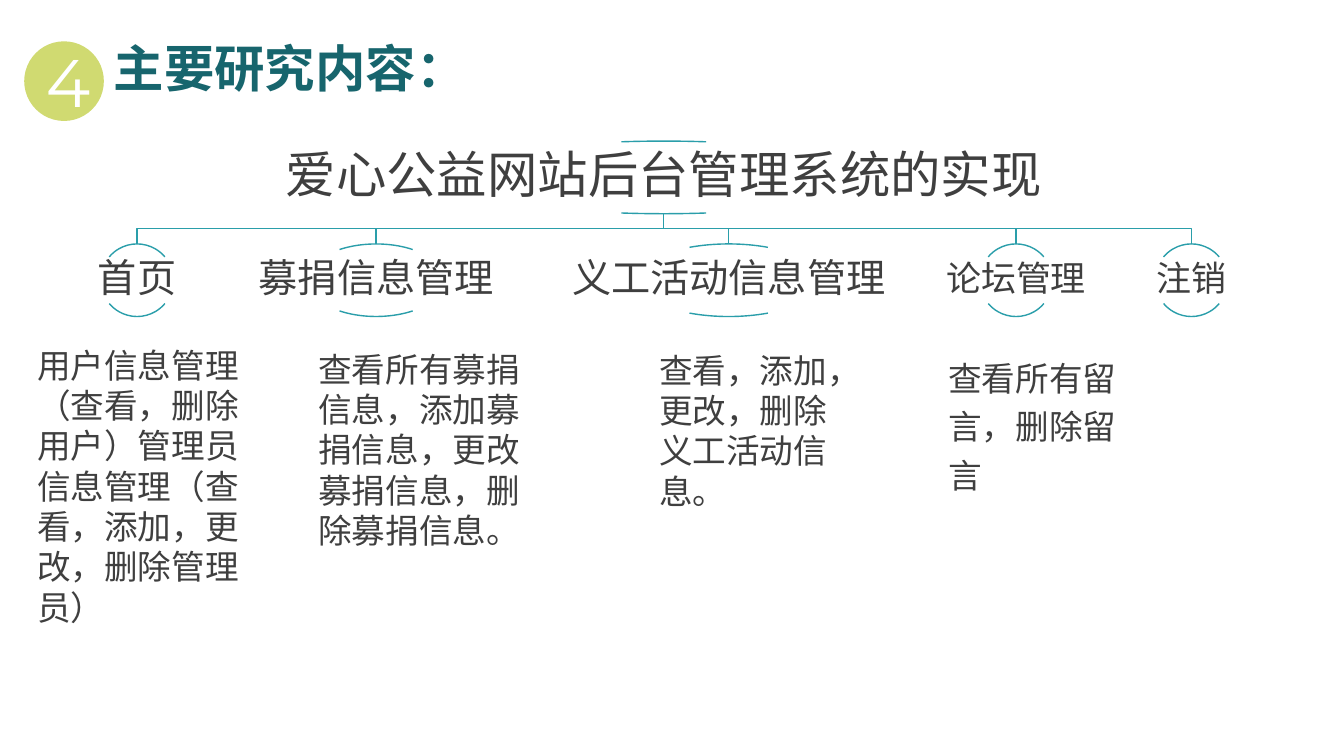
from lxml.etree import SubElement
from pptx import Presentation
from pptx.dml.color import RGBColor
from pptx.enum.shapes import MSO_SHAPE as Preset
from pptx.enum.text import MSO_ANCHOR as Anchor, MSO_AUTO_SIZE as AutoSize, PP_ALIGN as Align
from pptx.oxml.ns import qn
from pptx.util import Pt

LIME = RGBColor(0xD0, 0xDA, 0x71)
WHITE = RGBColor(0xFF, 0xFF, 0xFF)
DEEP_TEAL = RGBColor(0x17, 0x65, 0x6D)
TEAL = RGBColor(0x2A, 0x9E, 0xAA)
DARK_GRAY = RGBColor(0x3F, 0x3F, 0x3F)

SANS = "Noto Sans CJK SC"
NODE_HEIGHT = 51.84
ROOT_CENTER = 474.12
ROOT_TOP = 100.8
BRANCH_TOP = 174.24
ARC_ANGLES = ((132, 192), (24, 84))

BRANCHES = (
    ("首页", 97.92, 51.84, 28),
    ("募捐信息管理", 268.7, 97.92, 28),
    ("义工活动信息管理", 520.56, 132.48, 28),
    ("论坛管理", 725.76, 51.84, 25),
    ("注销", 851.04, 51.84, 25),
)

DETAILS = (
    ("用户信息管理（查看，删除用户）管理员信息管理（查看，添加，更改，删除管理员）",
     19.44, 242.64, 164.16, 232.56, None),
    ("查看所有募捐信息，添加募捐信息，更改募捐信息，删除募捐信息。",
     220.32, 245.52, 164.16, 174.24, None),
    ("查看，添加，更改，删除义工活动信息。", 463.68, 246.24, 142.56, 145.44, None),
    ("查看所有留言，删除留言", 670.32, 246.24, 142.56, 133.92, 1.2),
)


def write_text(frame, text, size, font_name, color, bold=False, align=None, spacing=None):
    paragraph = frame.paragraphs[0]
    paragraph.alignment = align
    paragraph.line_spacing = spacing
    run = paragraph.add_run()
    run.text = text
    run.font.size = Pt(size)
    run.font.bold = bold
    run.font.color.rgb = color
    run.font.name = font_name
    SubElement(run.font._element, qn("a:ea"), typeface=font_name)


def add_text(slide, box, text, size, font_name=SANS, color=DARK_GRAY,
             anchor=Anchor.TOP, inset=None, grow=False, **style):
    frame = slide.shapes.add_textbox(*map(Pt, box)).text_frame
    frame.word_wrap = True
    frame.vertical_anchor = anchor
    if grow:
        frame.auto_size = AutoSize.SHAPE_TO_FIT_TEXT
    if inset is not None:
        frame.margin_left = frame.margin_right = Pt(inset)
        frame.margin_top = frame.margin_bottom = Pt(inset)
    write_text(frame, text, size, font_name, color, **style)


def add_number_badge(slide, number):
    badge = slide.shapes.add_shape(Preset.OVAL, Pt(17.28), Pt(29.52), Pt(56.88), Pt(56.88))
    badge.shadow.inherit = False
    badge.fill.solid()
    badge.fill.fore_color.rgb = LIME
    badge.line.fill.background()
    badge.text_frame.vertical_anchor = Anchor.MIDDLE
    write_text(badge.text_frame, number, 48, "Montserrat", WHITE, align=Align.CENTER)


def style_outline(shape):
    shape.shadow.inherit = False
    shape.fill.background()
    shape.line.color.rgb = TEAL
    shape.line.width = Pt(1)


def add_branch_line(slide, center):
    root_bottom = ROOT_TOP + NODE_HEIGHT
    middle = (root_bottom + BRANCH_TOP) / 2
    builder = slide.shapes.build_freeform(Pt(ROOT_CENTER), Pt(root_bottom))
    corners = ((ROOT_CENTER, middle), (center, middle), (center, BRANCH_TOP))
    builder.add_line_segments([(Pt(x), Pt(y)) for x, y in corners], close=False)
    style_outline(builder.convert_to_shape())


def add_node(slide, text, center, top, width, size, font_name, inset):
    for start, end in ARC_ANGLES:
        arc = slide.shapes.add_shape(
            Preset.ARC, Pt(center - width / 2), Pt(top), Pt(width), Pt(NODE_HEIGHT))
        arc.adjustments[0] = start
        arc.adjustments[1] = end
        style_outline(arc)
    add_text(slide, (center - width, top + 9.36, width * 2, 33.12), text, size, font_name,
             anchor=Anchor.MIDDLE, inset=inset, align=Align.CENTER, spacing=0.9)


def main():
    presentation = Presentation()
    presentation.slide_width = Pt(960)
    presentation.slide_height = Pt(540)
    slide = presentation.slides.add_slide(presentation.slide_layouts[6])

    add_number_badge(slide, "4")
    add_text(slide, (74.16, 18.72, 858.96, 55.44), "主要研究内容：", 36,
             color=DEEP_TEAL, anchor=Anchor.BOTTOM, bold=True, spacing=0.9)

    for _, center, _, _ in reversed(BRANCHES):
        add_branch_line(slide, center)
    add_node(slide, "爱心公益网站后台管理系统的实现", ROOT_CENTER, ROOT_TOP, 308.88, 36, SANS, 2.3)
    for text, center, width, size in BRANCHES:
        add_node(slide, text, center, BRANCH_TOP, width, size, "Arial", 1.6)

    for text, left, top, width, height, spacing in DETAILS:
        add_text(slide, (left, top, width, height), text, 24, grow=True, spacing=spacing)

    presentation.save("out.pptx")


if __name__ == "__main__":
    main()
